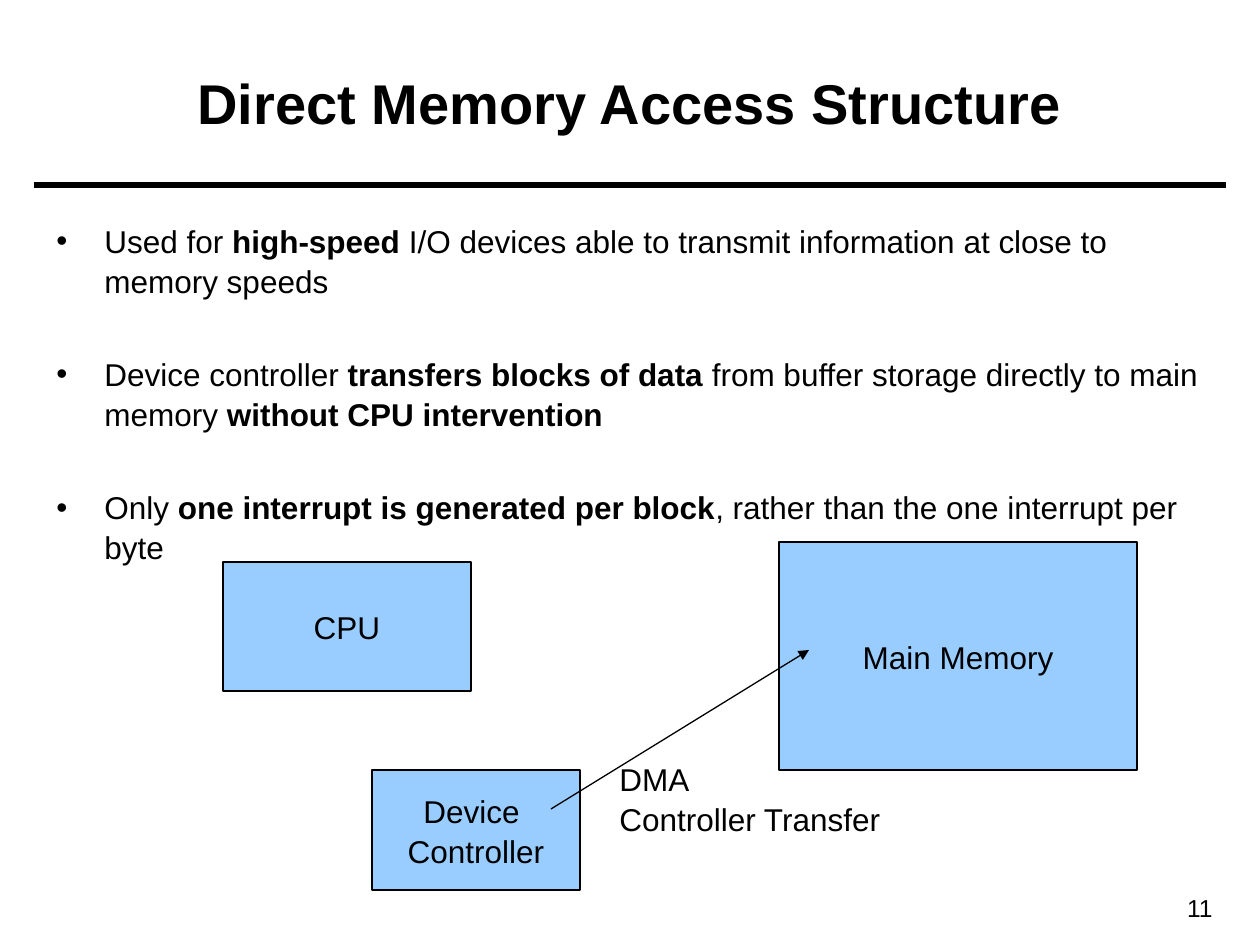
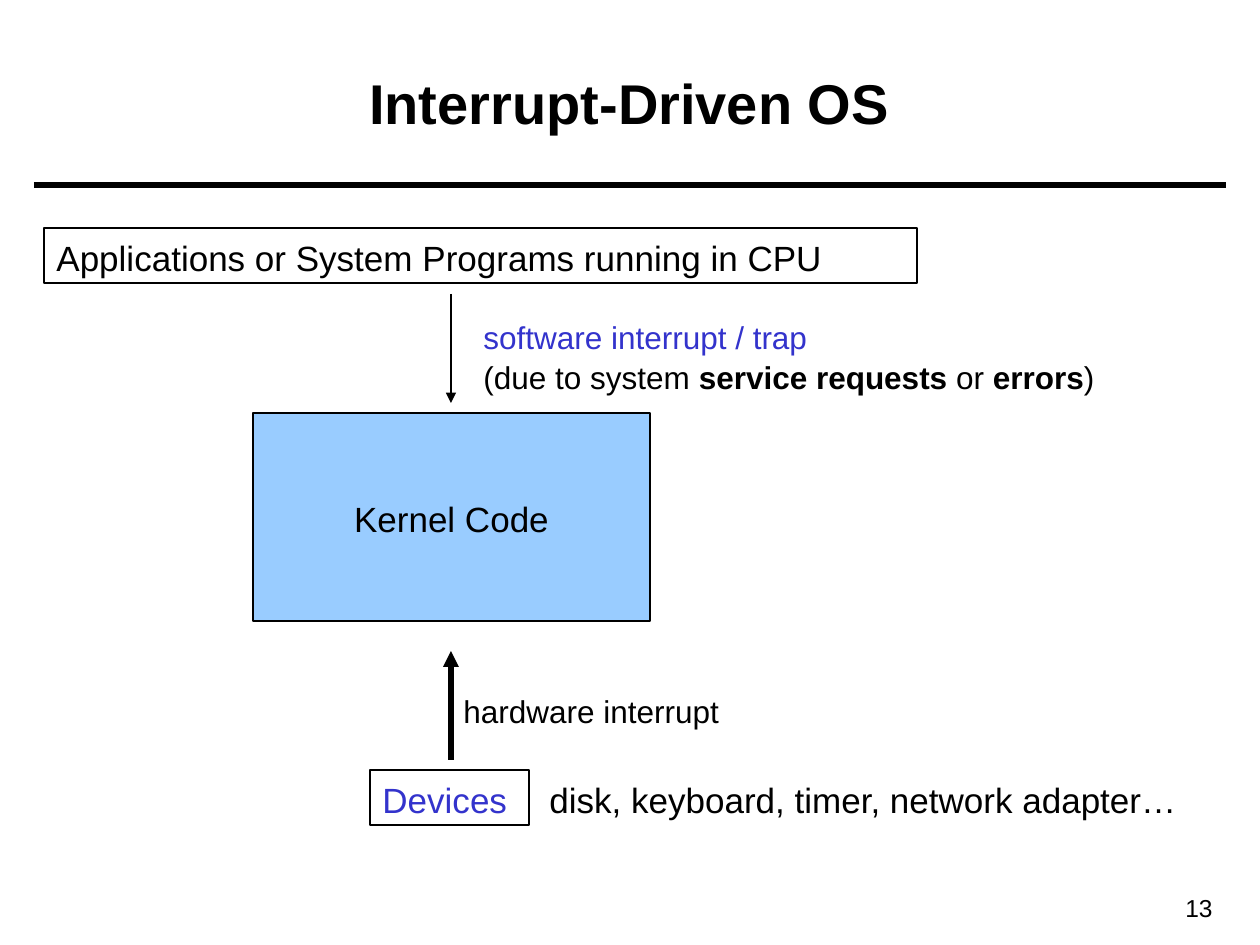
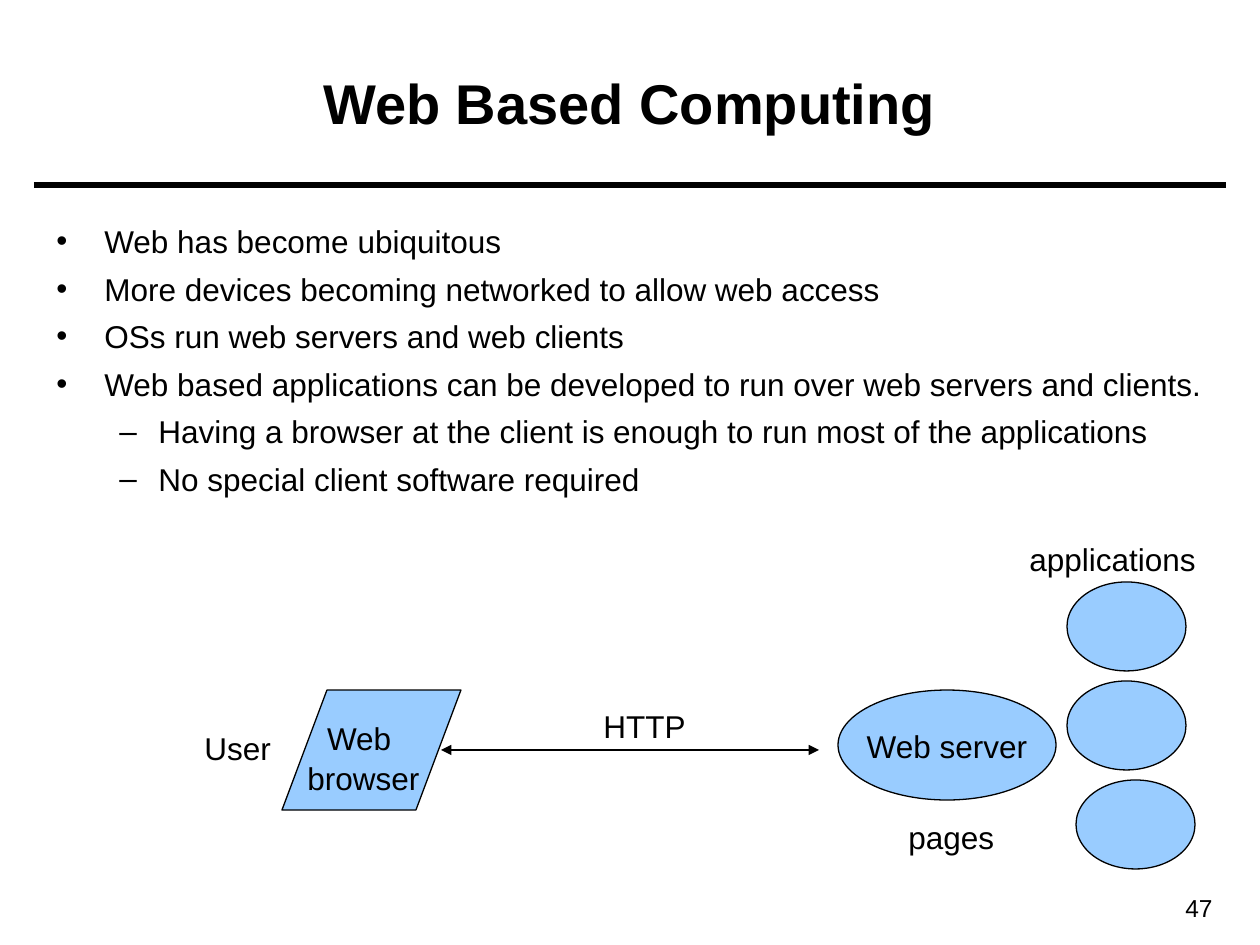
import dataclasses

import lxml.etree
import pptx
import pptx.dml.color
import pptx.enum.shapes
import pptx.enum.text
import pptx.oxml.ns
import pptx.util

SCALE = 914400 / 126
KIND = pptx.enum.shapes.MSO_SHAPE
ALIGN = pptx.enum.text.PP_ALIGN
ANCHOR = pptx.enum.text.MSO_ANCHOR
FIT = pptx.enum.text.MSO_AUTO_SIZE


@dataclasses.dataclass(frozen=True)
class Theme:
    font: str = "Arial"
    ink: str = "000000"
    blue: str = "3333CC"
    fill: str = "99CCFF"
    head: int = 32
    large: int = 20
    text: int = 18
    foot: int = 14
    thin: float = 0.75
    thick: float = 3
    lead: float = 1.05
    gap: float = 4.5
    wide: float = 30.7
    marks: tuple = (("•", 48, 48), ("–", 102, 39))


THEME = Theme()


def px(value):
    return pptx.util.Emu(round(value * SCALE))


def color(code):
    return pptx.dml.color.RGBColor.from_string(code)


def child(parent, tag, **attrs):
    return lxml.etree.SubElement(parent, pptx.oxml.ns.qn(tag), **attrs)


def write(frame, text, size=THEME.text, ink=THEME.ink, bold=False,
          align=ALIGN.LEFT, gap=0, level=None):
    first = not frame.text
    para = frame.paragraphs[0] if first else frame.add_paragraph()
    if level is not None:
        mark, left, hang = THEME.marks[level]
        para.level = level
        props = para._p.get_or_add_pPr()
        props.set("marL", str(px(left)))
        props.set("indent", str(px(-hang)))
        child(props, "a:buFont", typeface=THEME.font)
        child(props, "a:buChar", char=mark)
    para.alignment = align
    para.line_spacing = THEME.lead
    para.space_before = pptx.util.Pt(0 if first else gap)
    for index, part in enumerate(text.split("*")):
        if not part:
            continue
        for count, piece in enumerate(part.split("\n")):
            if count:
                para.add_line_break()
            run = para.add_run()
            run.text = piece
            run.font.name = THEME.font
            run.font.size = pptx.util.Pt(size)
            run.font.bold = bold or index % 2 == 1
            run.font.color.rgb = color(ink)


class Deck:
    def __init__(self):
        self.show = pptx.Presentation()
        self.show.slide_width = px(1260)
        self.show.slide_height = px(945)
        self.slide = None

    def page(self, title, number):
        self.slide = self.show.slides.add_slide(self.show.slide_layouts[6])
        self.line(34, 185, 1226, 185, width=THEME.thick)
        self.label(1094, 885, number, wide=131, high=43,
                   size=THEME.foot, align=ALIGN.RIGHT)
        self.label(44, 21, title, wide=1171, high=158, anchor=ANCHOR.MIDDLE,
                   size=THEME.head, bold=True, align=ALIGN.CENTER)

    def label(self, left, top, *lines, wide, high=50, grow=False,
              anchor=ANCHOR.TOP, border=False, **style):
        box = self.slide.shapes.add_textbox(px(left), px(top), px(wide), px(high))
        frame = box.text_frame
        frame.word_wrap = not grow
        frame.auto_size = FIT.SHAPE_TO_FIT_TEXT if grow else FIT.NONE
        frame.vertical_anchor = anchor
        if border:
            box.line.color.rgb = color(THEME.ink)
            box.line.width = pptx.util.Pt(THEME.thin)
        for line in lines:
            write(frame, line, **style)
        return frame

    def list(self, *items, gap=THEME.gap):
        frame = self.label(44, 214, wide=1171, high=645)
        for level, text in items:
            write(frame, text, level=level, gap=gap)

    def shape(self, left, top, wide, high, text="", kind=KIND.RECTANGLE,
              size=THEME.text):
        form = self.slide.shapes.add_shape(
            kind, px(left), px(top), px(wide), px(high))
        form.shadow.inherit = False
        form.fill.solid()
        form.fill.fore_color.rgb = color(THEME.fill)
        form.line.color.rgb = color(THEME.ink)
        form.line.width = pptx.util.Pt(THEME.thin)
        if text:
            frame = form.text_frame
            frame.word_wrap = False
            frame.vertical_anchor = ANCHOR.MIDDLE
            write(frame, text, size=size, align=ALIGN.CENTER)
        return form

    def line(self, left, top, right, low, width=THEME.thin, ends=()):
        link = self.slide.shapes.add_connector(
            pptx.enum.shapes.MSO_CONNECTOR.STRAIGHT,
            px(left), px(top), px(right), px(low))
        link.line.color.rgb = color(THEME.ink)
        link.line.width = pptx.util.Pt(width)
        for end in ends:
            child(link.line._get_or_add_ln(), "a:" + end, type="triangle")
        child(link._element.spPr, "a:effectLst")


def memory(deck):
    deck.page("Direct Memory Access Structure", "11")
    deck.list(
        (0, "Used for *high-speed* I/O devices able to transmit information "
            "at close to memory speeds"),
        (0, "Device controller *transfers blocks of data* from buffer storage "
            "directly to main memory *without CPU intervention*"),
        (0, "Only *one interrupt is generated per block*, rather than the one "
            "interrupt per byte"),
        gap=THEME.wide)
    deck.shape(372, 770, 208, 120, "Device \nController")
    deck.shape(779, 542, 358, 228, "Main Memory")
    deck.shape(223, 562, 248, 129, "CPU")
    deck.line(551, 809, 809, 650, ends=["tailEnd"])
    deck.label(607, 752, "DMA", "Controller Transfer",
               wide=287, high=88, grow=True)


def kernel(deck):
    deck.page("Interrupt-Driven OS", "13")
    deck.shape(253, 413, 397, 208, "Kernel Code", size=THEME.large)
    deck.label(370, 770, "Devices", wide=159, high=55, grow=True,
               border=True, size=THEME.large, ink=THEME.blue)
    deck.label(44, 228, "Applications or System Programs running in CPU",
               wide=873, high=55, border=True, size=THEME.large)
    deck.line(451, 760, 451, 651, width=THEME.thick, ends=["tailEnd"])
    deck.label(451, 684, "hardware interrupt", wide=281, grow=True)
    trap = deck.label(471, 310, "software interrupt / trap",
                      wide=636, high=88, grow=True, ink=THEME.blue)
    write(trap, "(due to system *service requests* or *errors*)")
    deck.label(537, 770, "disk, keyboard, timer, network adapter…",
               wide=654, high=55, grow=True, size=THEME.large)
    deck.line(451, 294, 451, 403, ends=["tailEnd"])


def web(deck):
    deck.page("Web Based Computing", "47")
    deck.list(
        (0, "Web has become ubiquitous"),
        (0, "More devices becoming networked to allow web access"),
        (0, "OSs run web servers and web clients"),
        (0, "Web based applications can be developed to run over web servers "
            "and clients."),
        (1, "Having a browser at the client is enough to run most of the "
            "applications"),
        (1, "No special client software required"))
    client = deck.shape(282, 690, 179, 120, kind=KIND.PARALLELOGRAM)
    client.adjustments[0] = 0.375
    deck.label(295, 711, "Web ", "browser", wide=137, high=88,
               grow=True, align=ALIGN.CENTER)
    deck.shape(838, 690, 218, 110, "Web server", kind=KIND.OVAL)
    for row, left in enumerate((1067, 1067, 1076)):
        deck.shape(left, 582 + 99 * row, 119, 89, kind=KIND.OVAL)
    deck.line(441, 750, 819, 750, ends=["headEnd", "tailEnd"])
    for left, top, wide, text in (
            (1017, 532, 192, "applications"),
            (591, 699, 107, "HTTP"),
            (192, 721, 92, "User"),
            (896, 810, 111, "pages")):
        deck.label(left, top, text, wide=wide, grow=True)


def main():
    deck = Deck()
    for build in (memory, kernel, web):
        build(deck)
    deck.show.save("out.pptx")


if __name__ == "__main__":
    main()
